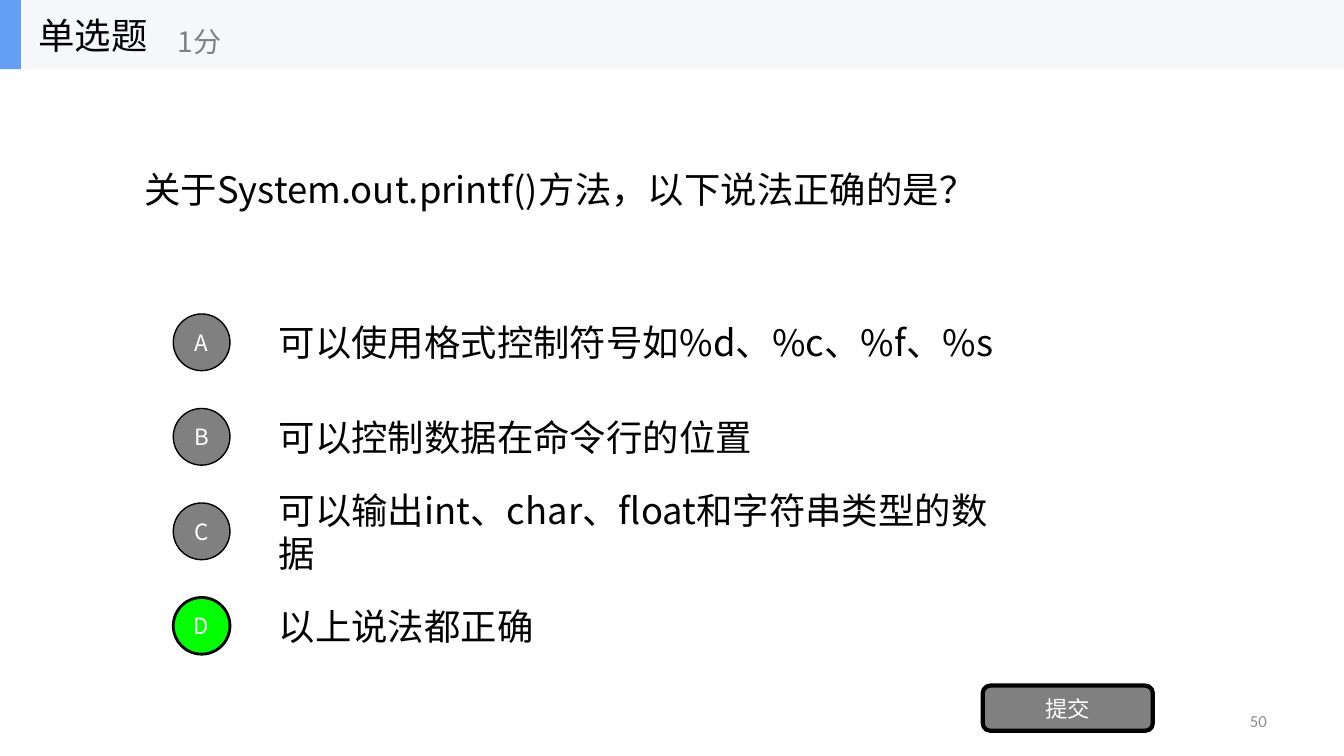
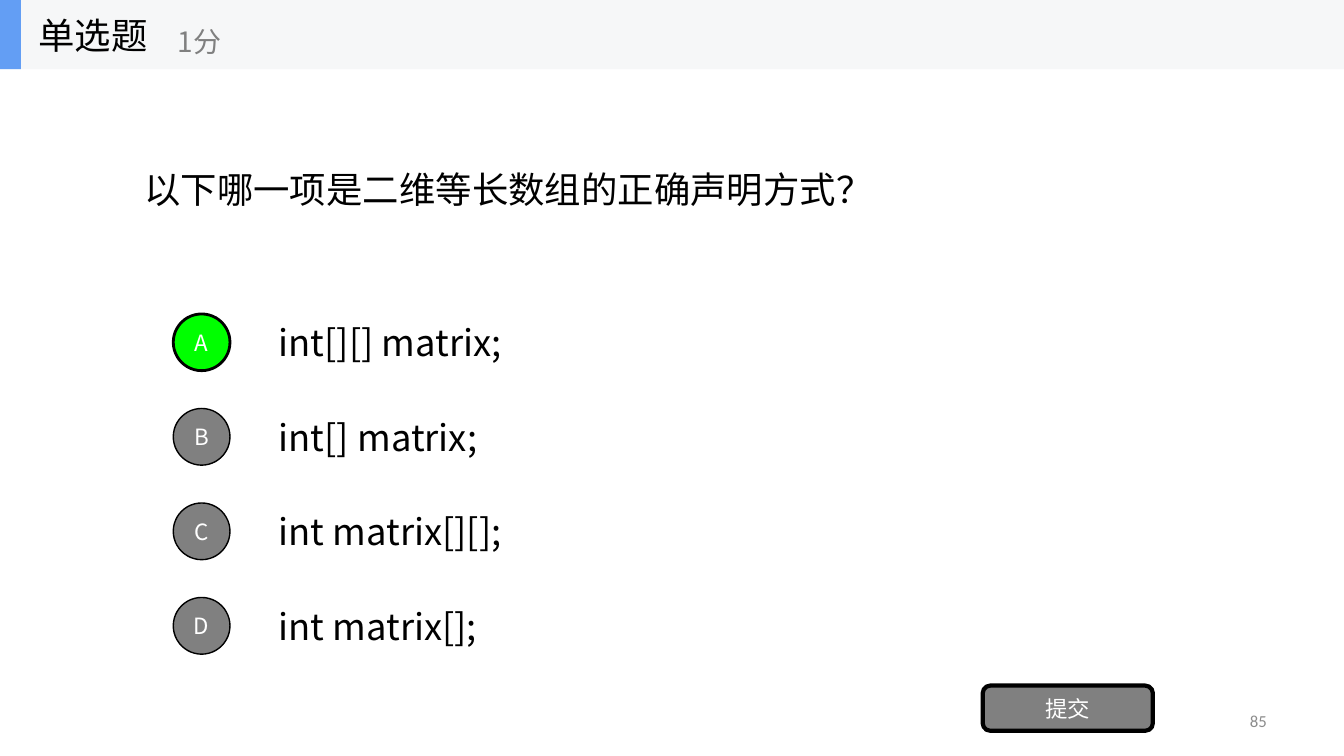
import pptx
import pptx.util
import pptx.dml.color
import pptx.enum.shapes
import pptx.enum.text
import lxml.etree
from dataclasses import dataclass
from pptx.oxml.ns import qn

SHAPE = pptx.enum.shapes.MSO_SHAPE
ALIGN = pptx.enum.text.PP_ALIGN
PX = 9525  # EMU in one px, 1280 x 720 px slide


@dataclass(frozen=True)
class Theme:
    black: str = "000000"
    white: str = "FFFFFF"
    gray: str = "808080"
    number: str = "8C8C8C"
    band: str = "F6F7F8"
    accent: str = "639EF4"
    correct: str = "00FF00"
    font: str = "Noto Sans CJK SC"
    number_font: str = "Calibri"
    body: int = 26
    points: int = 20
    label: int = 16
    small: int = 12


T = Theme()

# Option rows: equal pitch, badge and text share one centre line
ROW_TOP, ROW_PITCH, BADGE = 281, 90, 54

QUESTIONS = [
    ("关于System.out.printf()方法，以下说法正确的是？",
     ["可以使用格式控制符号如%d、%c、%f、%s",
      "可以控制数据在命令行的位置",
      "可以输出int、char、float和字符串类型的数据",
      "以上说法都正确"], "D", 50),
    ("以下哪一项是二维等长数组的正确声明方式？",
     ["int[][] matrix;", "int[] matrix;", "int matrix[][];", "int matrix[];"],
     "A", 85),
]


def rgb(color):
    return pptx.dml.color.RGBColor.from_string(color)


def box(*lengths):
    return [pptx.util.Emu(v * PX) for v in lengths]


def write(sp, text, size, color, align=ALIGN.LEFT, font=T.font):
    tf = sp.text_frame
    tf.word_wrap = True
    tf.vertical_anchor = pptx.enum.text.MSO_ANCHOR.MIDDLE
    p = tf.paragraphs[0]
    p.text = text
    p.alignment = align
    p.font.size = pptx.util.Pt(size)
    p.font.color.rgb = rgb(color)
    p.font.name = font
    # East Asian characters need their own typeface entry
    props = p._p.pPr.find(qn("a:defRPr"))
    lxml.etree.SubElement(props, qn("a:ea")).set("typeface", font)


def add_text(s, x, y, w, h, text, size, color, **style):
    write(s.shapes.add_textbox(*box(x, y, w, h)), text, size, color, **style)


def add_block(s, kind, x, y, w, h, fill, line=0):
    sp = s.shapes.add_shape(kind, *box(x, y, w, h))
    sp.shadow.inherit = False
    sp.fill.solid()
    sp.fill.fore_color.rgb = rgb(fill)
    if line:
        sp.line.color.rgb = rgb(T.black)
        sp.line.width = pptx.util.Pt(line)
    else:
        sp.line.fill.background()
    return sp


def add_button(s, kind, x, y, w, h, text, fill, line):
    sp = add_block(s, kind, x, y, w, h, fill, line)
    sp.text_frame.margin_left = sp.text_frame.margin_right = 0
    write(sp, text, T.label, T.white, ALIGN.CENTER)


def add_header(s):
    add_block(s, SHAPE.RECTANGLE, 0, 0, 1280, 66, T.band)
    add_block(s, SHAPE.RECTANGLE, 0, 0, 20, 66, T.accent)
    add_text(s, 27, 0, 200, 66, "单选题", T.body, T.black)
    add_text(s, 160, 12, 240, 54, "1分", T.points, T.gray)


def add_option(s, row, letter, text, correct):
    y = ROW_TOP + row * ROW_PITCH
    add_text(s, 256, y, 720, ROW_PITCH, text, T.body, T.black)
    fill, line = (T.correct, 2) if correct else (T.gray, 1)
    add_button(s, SHAPE.OVAL, 165, y + (ROW_PITCH - BADGE) // 2, BADGE, BADGE,
               letter, fill, line)


def add_footer(s, number):
    add_button(s, SHAPE.ROUNDED_RECTANGLE, 936, 653, 162, 43, "提交", T.gray, 3)
    add_text(s, 918, 667, 298, 38, str(number), T.small, T.number,
             align=ALIGN.RIGHT, font=T.number_font)


def add_question(prs, question, options, answer, number):
    s = prs.slides.add_slide(prs.slide_layouts[6])
    add_header(s)
    add_text(s, 128, 154, 900, 51, question, T.body, T.black)
    for row, (letter, text) in enumerate(zip("ABCD", options)):
        add_option(s, row, letter, text, letter == answer)
    add_footer(s, number)


def main():
    prs = pptx.Presentation()
    prs.slide_width, prs.slide_height = box(1280, 720)
    for item in QUESTIONS:
        add_question(prs, *item)
    prs.save("out.pptx")


if __name__ == "__main__":
    main()
